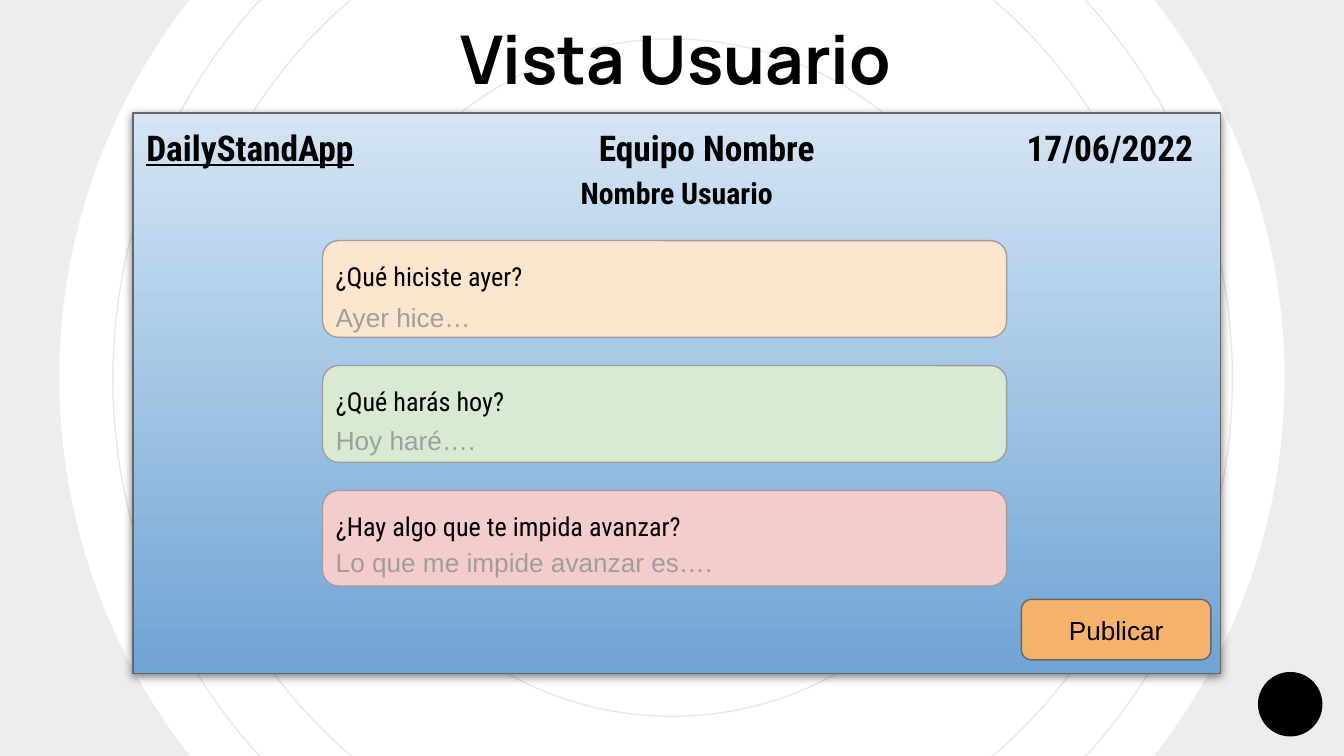
from dataclasses import dataclass

from lxml import etree
from pptx import Presentation
from pptx import util as u
from pptx.dml.color import RGBColor
from pptx.enum import shapes, text
from pptx.oxml import ns

HEX = {
    "black": "000000", "white": "FFFFFF", "ring": "E8E8E8",
    "sky": "D4E5F5", "blue": "70A4D5", "dark": "666666", "gray": "9E9E9E",
    "peach": "FCE5CD", "green": "D9EAD3", "pink": "F4CCCC", "orange": "F6B26B",
}
FRAME = {
    "word_wrap": True,
    "auto_size": text.MSO_AUTO_SIZE.SHAPE_TO_FIT_TEXT,
    **{f"margin_{side}": u.Inches(0.1) for side in ("left", "right", "top", "bottom")},
}
HEAD = {"name": "Roboto Condensed", "size": u.Pt(19), "bold": True}
USER = HEAD | {"size": u.Pt(16)}
TITLE = {"name": "Manrope", "size": u.Pt(36), "bold": True}
ASK = {"name": "Roboto Condensed", "size": u.Pt(14)}
HINT = {"name": "Arial", "size": u.Pt(14)}
MID = {"alignment": text.PP_ALIGN.CENTER}
BODY = {"line_spacing": 1.15, "space_after": u.Pt(16)}
KIND = shapes.MSO_SHAPE
Box = tuple[float, float, float, float]


@dataclass
class Card:
    ask: str
    hint: str
    fill: str
    tall: float
    ask_w: float
    hint_w: float


CARDS = [
    Card("¿Qué hiciste ayer?", "Ayer hice…", "peach", 0.72, 2.36, 1.54),
    Card("¿Qué harás hoy?", "Hoy haré….", "green", 0.72, 4.68, 4.32),
    Card("¿Hay algo que te impida avanzar?", "Lo que me impide avanzar es….",
         "pink", 0.71, 5.62, 3.94),
]


def color(name: str) -> RGBColor:
    return RGBColor.from_string(HEX[name])


def apply(item, style: dict) -> None:
    for key, value in style.items():
        setattr(item, key, value)


def draw(slide, kind, box: Box, fill: str = "", line: str = ""):
    shape = slide.shapes.add_shape(kind, *map(u.Inches, box))
    shape.shadow.inherit = False
    if fill:
        shape.fill.solid()
        shape.fill.fore_color.rgb = color(fill)
    else:
        shape.fill.background()
    if line:
        shape.line.color.rgb = color(line)
        shape.line.width = u.Pt(0.75)
    else:
        shape.line.fill.background()
    return shape


def add_run(para, words: str, font: dict, ink: str = "black") -> None:
    run = para.add_run()
    run.text = words
    apply(run.font, font)
    run.font.color.rgb = color(ink)


def write(slide, box: Box, words: str, font: dict, form: dict, ink: str = "black"):
    frame = slide.shapes.add_textbox(*map(u.Inches, box)).text_frame
    apply(frame, FRAME)
    para = frame.paragraphs[0]
    apply(para, form)
    add_run(para, words, font, ink)
    return para


def add_tag(parent, tag: str, **attrs):
    return etree.SubElement(parent, ns.qn(tag), {k: str(v) for k, v in attrs.items()})


def draw_back(slide) -> None:
    for left, top, size in ((0.84, -1.35, 8.33), (1.31, -0.88, 7.38), (2.48, 0.29, 5.04)):
        draw(slide, KIND.OVAL, (left, top, size, size), line="ring")
    donut = draw(slide, KIND.DONUT, (-0.77, -2.96, 11.54, 11.54), "black")
    donut.adjustments[0] = 0.105
    tint = donut.fill._xPr.find(".//" + ns.qn("a:srgbClr"))
    add_tag(tint, "a:alpha", val=7000)
    draw(slide, KIND.OVAL, (9.36, 5, 0.48, 0.48), "black")


def draw_panel(slide) -> None:
    panel = draw(slide, KIND.RECTANGLE, (0.99, 0.84, 8.09, 4.17), line="dark")
    panel.fill.gradient()
    panel.fill.gradient_angle = 270
    for stop, tone, place in zip(panel.fill.gradient_stops, ("sky", "blue"), (0, 1)):
        stop.color.rgb = color(tone)
        stop.position = place
    glow = panel.element.spPr.find(ns.qn("a:effectLst"))
    cast = add_tag(glow, "a:outerShdw", blurRad=u.Pt(4.5), dist=u.Pt(1.5),
                   dir=5400000, algn="bl", rotWithShape=0)
    add_tag(add_tag(cast, "a:srgbClr", val=HEX["black"]), "a:alpha", val=50000)


def draw_head(slide) -> None:
    para = write(slide, (0.99, 0.84, 8.09, 0.52), "DailyStandApp",
                 HEAD | {"underline": True}, {})
    add_run(para, "\tEquipo Nombre\t17/06/2022", HEAD)
    tabs = add_tag(para._p.get_or_add_pPr(), "a:tabLst")
    for place, side in ((4.17, "ctr"), (7.79, "r")):
        add_tag(tabs, "a:tab", pos=u.Inches(place), algn=side)
    write(slide, (0.99, 1.2, 8.09, 0.47), "Nombre Usuario", USER, MID)
    write(slide, (0.03, 0.03, 10, 0.81), "Vista Usuario", TITLE,
          MID | {"space_after": u.Pt(16)})


def draw_card(slide, card: Card, row: int) -> None:
    left, top = 2.4, 1.79 + 0.93 * row
    draw(slide, KIND.ROUNDED_RECTANGLE, (left, top, 5.09, card.tall), card.fill, "gray")
    write(slide, (left, top + 0.01, card.ask_w, 0.44), card.ask, ASK, BODY)
    write(slide, (left, 2.11 + 0.91 * row, card.hint_w, 0.44), card.hint, HINT, BODY, "gray")


def main() -> None:
    deck = Presentation()
    deck.slide_width, deck.slide_height = u.Inches(10), u.Inches(10 * 9 / 16)
    slide = deck.slides.add_slide(deck.slide_layouts[6])
    slide.background.fill.solid()
    slide.background.fill.fore_color.rgb = color("white")
    draw_back(slide)
    draw_panel(slide)
    draw_head(slide)
    for row, card in enumerate(CARDS):
        draw_card(slide, card, row)
    draw(slide, KIND.ROUNDED_RECTANGLE, (7.6, 4.46, 1.41, 0.45), "orange", "dark")
    write(slide, (7.6, 4.47, 1.41, 0.44), "Publicar", HINT, MID)
    deck.save("out.pptx")


if __name__ == "__main__":
    main()
